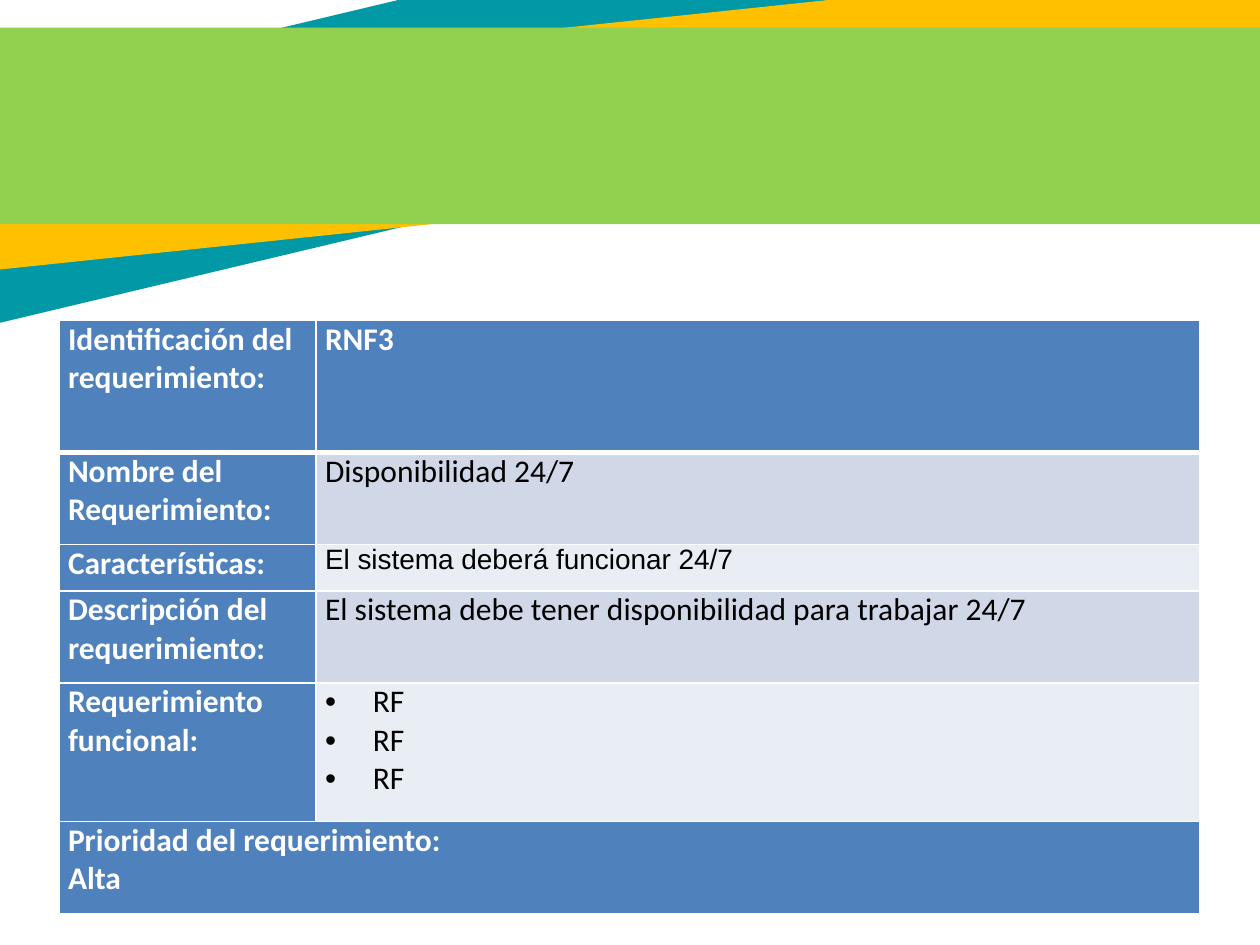
"""Build a slide with a requirement table under a layered banner."""
from lxml import etree
from pptx import Presentation
from pptx.dml.color import RGBColor
from pptx.enum.shapes import MSO_SHAPE
from pptx.enum.text import PP_ALIGN
from pptx.oxml.ns import qn
from pptx.util import Inches, Pt

RECTANGLE = MSO_SHAPE.RECTANGLE
LEFT = PP_ALIGN.LEFT
JUSTIFY = PP_ALIGN.JUSTIFY

TEAL = RGBColor(0x00, 0x99, 0xA5)
AMBER = RGBColor(0xFF, 0xC0, 0x00)
GREEN = RGBColor(0x92, 0xD0, 0x50)
BLUE = RGBColor(0x4F, 0x81, 0xBD)
DARK_BAND = RGBColor(0xD0, 0xD8, 0xE8)
LIGHT_BAND = RGBColor(0xE9, 0xED, 0xF4)
WHITE = RGBColor(0xFF, 0xFF, 0xFF)
BLACK = RGBColor(0x00, 0x00, 0x00)

BANNER = [
    (-2.51, -0.18, 13.06, 1.76, 346.6, TEAL),
    (-1.1, 0.2, 11.63, 1.44, 354, AMBER),
    (-1.06, 0.22, 11.63, 1.56, 0, GREEN),
]
ROWS = [
    ("Identificación del requerimiento:", "RNF3"),
    ("Nombre del Requerimiento:", "Disponibilidad 24/7"),
    ("Características:", "El sistema deberá funcionar 24/7"),
    ("Descripción del requerimiento:",
     "El sistema debe tener disponibilidad para trabajar 24/7"),
    ("Requerimiento funcional:", "RF\nRF\nRF"),
    ("Prioridad del requerimiento:\nAlta", ""),
]
COLUMN_WIDTHS = [2.04, 7.01]
ROW_HEIGHTS = [1.05, 0.73, 0.37, 0.73, 1.1, 0.73]
TABLE_LEFT, TABLE_TOP = 0.47, 2.54
HEADER_ROW, FEATURE_ROW, BULLET_ROW, PRIORITY_ROW = 0, 2, 4, 5


def add_banner(slide):
    for left, top, width, height, rotation, color in BANNER:
        band = slide.shapes.add_shape(
            RECTANGLE, Inches(left), Inches(top), Inches(width), Inches(height))
        band.rotation = rotation
        band.shadow.inherit = False
        band.fill.solid()
        band.fill.fore_color.rgb = color
        band.line.fill.background()


def set_borders(cell, row):
    properties = cell._tc.get_or_add_tcPr()
    widths = {
        "a:lnL": 1,
        "a:lnR": 1,
        "a:lnT": 3 if row == HEADER_ROW + 1 else 1,
        "a:lnB": 3 if row == HEADER_ROW else 1,
    }
    for tag, width in widths.items():
        line = etree.SubElement(properties, qn(tag), w=str(Pt(width)))
        fill = etree.SubElement(line, qn("a:solidFill"))
        etree.SubElement(fill, qn("a:srgbClr"), val=str(WHITE))


def add_bullet(paragraph):
    properties = paragraph._p.get_or_add_pPr()
    properties.set("marL", str(Inches(0.38)))
    properties.set("indent", str(-Inches(0.38)))
    etree.SubElement(properties, qn("a:buFont"), typeface="Arial")
    etree.SubElement(properties, qn("a:buChar"), char="•")


def format_cell(cell, row, column):
    emphasized = column == 0 or row in (HEADER_ROW, PRIORITY_ROW)
    feature = row == FEATURE_ROW and column == 1
    set_borders(cell, row)
    cell.fill.solid()
    band_color = DARK_BAND if row % 2 else LIGHT_BAND
    cell.fill.fore_color.rgb = BLUE if emphasized else band_color
    cell.margin_left = cell.margin_right = Inches(0.07)
    cell.margin_top = cell.margin_bottom = 0
    for paragraph in cell.text_frame.paragraphs:
        if row == BULLET_ROW and column == 1:
            add_bullet(paragraph)
        paragraph.alignment = JUSTIFY if feature else LEFT
        for run in paragraph.runs:
            run.font.name = "Arial" if feature else "Calibri"
            run.font.size = Pt(16 if feature else 18)
            run.font.bold = emphasized
            run.font.color.rgb = WHITE if emphasized else BLACK


def add_requirement_table(slide):
    table = slide.shapes.add_table(
        len(ROWS), len(COLUMN_WIDTHS), Inches(TABLE_LEFT), Inches(TABLE_TOP),
        Inches(sum(COLUMN_WIDTHS)), Inches(sum(ROW_HEIGHTS))).table
    for column, width in zip(table.columns, COLUMN_WIDTHS):
        column.width = Inches(width)
    for row, height in zip(table.rows, ROW_HEIGHTS):
        row.height = Inches(height)
    table.cell(PRIORITY_ROW, 0).merge(table.cell(PRIORITY_ROW, 1))
    for row, texts in enumerate(ROWS):
        for column, text in enumerate(texts):
            cell = table.cell(row, column)
            cell.text_frame.text = text
            format_cell(cell, row, column)


def main():
    presentation = Presentation()
    presentation.slide_width = Inches(10)
    presentation.slide_height = Inches(7.5)
    slide = presentation.slides.add_slide(presentation.slide_layouts[6])
    add_banner(slide)
    add_requirement_table(slide)
    presentation.save("out.pptx")


if __name__ == "__main__":
    main()
